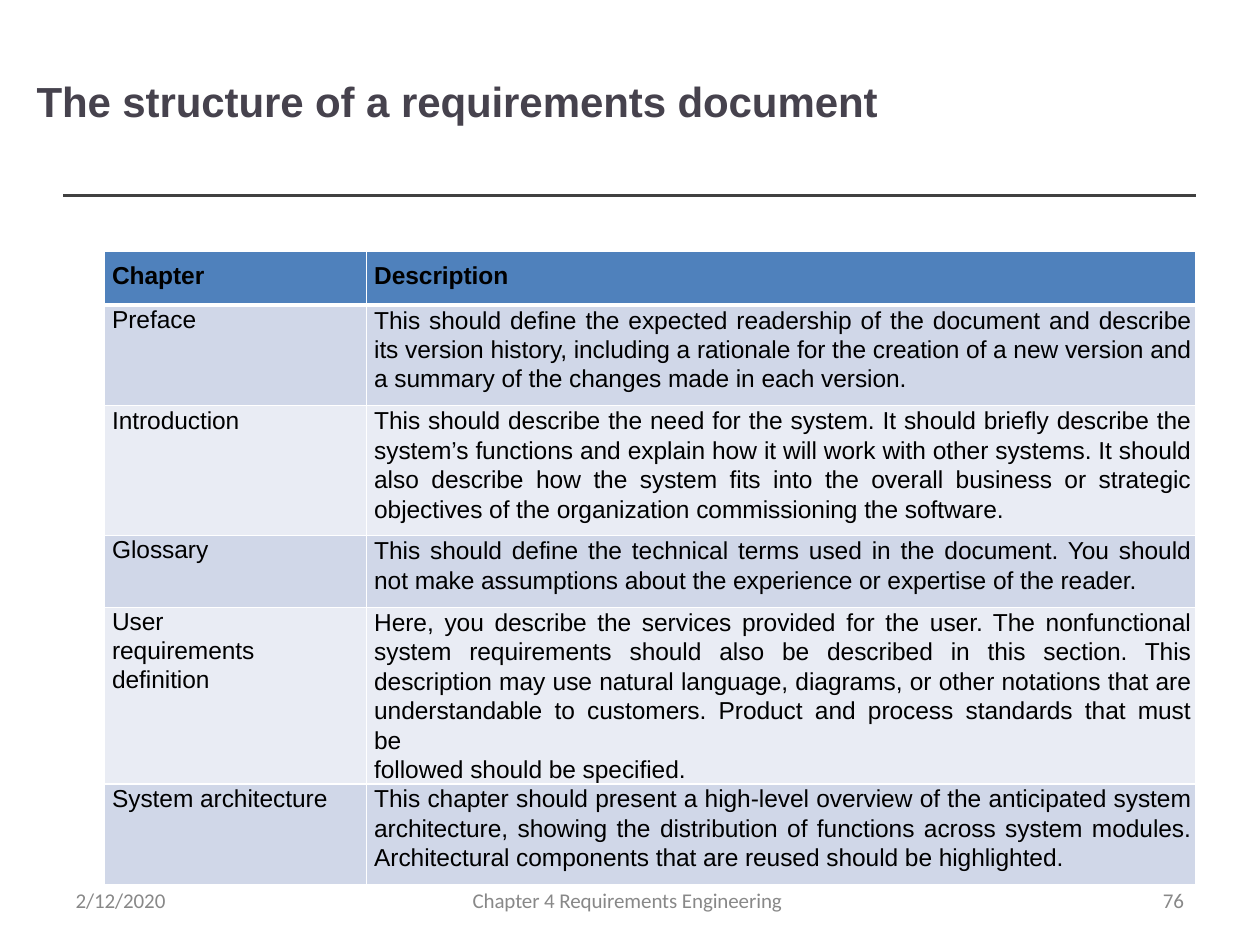
from lxml import etree
from pptx import Presentation
from pptx.dml.color import RGBColor
from pptx.enum.shapes import MSO_CONNECTOR
from pptx.enum.text import MSO_ANCHOR, PP_ALIGN
from pptx.oxml.ns import qn
from pptx.util import Inches, Pt

STRAIGHT = MSO_CONNECTOR.STRAIGHT
TOP = MSO_ANCHOR.TOP
LEFT, JUSTIFY = PP_ALIGN.LEFT, PP_ALIGN.JUSTIFY

HEADER = ("Chapter", "Description")
CHAPTERS = [
    ("Preface",
     "This should define the expected readership of the document and describe "
     "its version history, including a rationale for the creation of a new "
     "version and a summary of the changes made in each version."),
    ("Introduction",
     "This should describe the need for the system. It should briefly describe "
     "the system’s functions and explain how it will work with other systems. "
     "It should also describe how the system fits into the overall business or "
     "strategic objectives of the organization commissioning the software."),
    ("Glossary",
     "This should define the technical terms used in the document. You should\v"
     "not make assumptions about the experience or expertise of the reader."),
    ("User\vrequirements\vdefinition",
     "Here, you describe the services provided for the user. The nonfunctional "
     "system requirements should also be described in this section. This "
     "description may use natural language, diagrams, or other notations that "
     "are understandable to customers. Product and process standards that must\v"
     "be\nfollowed should be specified."),
    ("System architecture",
     "This chapter should present a high-level overview of the anticipated "
     "system architecture, showing the distribution of functions across system "
     "modules. Architectural components that are reused should be highlighted."),
]
COLUMN_WIDTHS = (2.08, 6.58)
ROW_HEIGHTS = (0.43, 0.8, 1.03, 0.57, 1.4, 0.8)


def rgb(value):
    return RGBColor.from_string(value)


class SlideBuilder:
    heading_font, footer_font = "Arial", "Calibri"
    title_color, text_color, footer_color = "46424D", "000000", "888888"
    rule_color, border_color = "404040", "FFFFFF"
    header_fill, band_fills = "4F81BC", ("D0D7E8", "E9ECF4")

    def __init__(self, slide):
        self.slide = slide

    def format(self, paragraph, font, size, color, bold=False, align=LEFT):
        paragraph.alignment = align
        paragraph.font.name = font
        paragraph.font.size = Pt(size)
        paragraph.font.bold = bold
        paragraph.font.color.rgb = rgb(color)
        # Slightly tightened letter spacing
        paragraph._p.pPr.find(qn("a:defRPr")).set("spc", "-5")

    def clear_margins(self, frame):
        frame.margin_left = frame.margin_right = 0
        frame.margin_top = frame.margin_bottom = 0

    def title(self, text, left, top, width, height):
        title = self.slide.shapes.title
        title.left, title.top = Inches(left), Inches(top)
        title.width, title.height = Inches(width), Inches(height)
        frame = title.text_frame
        self.clear_margins(frame)
        frame.vertical_anchor = TOP
        frame.text = text
        heading = frame.paragraphs[0]
        self.format(heading, self.heading_font, 24, self.title_color, True)
        heading.space_before = Pt(1)
        heading._p.pPr.set("marL", str(Inches(0.01)))

    def rule(self, left, top, right):
        rule = self.slide.shapes.add_connector(
            STRAIGHT, Inches(left), Inches(top), Inches(right), Inches(top))
        rule.line.color.rgb = rgb(self.rule_color)
        rule.line.width = Pt(2.04)
        etree.SubElement(rule._element.spPr, qn("a:effectLst"))

    def footer(self, text, left, width, indent=0.01):
        box = self.slide.shapes.add_textbox(
            Inches(left), Inches(7.07), Inches(width), Inches(0.2))
        frame = box.text_frame
        frame.word_wrap = True
        self.clear_margins(frame)
        frame.text = text
        line = frame.paragraphs[0]
        self.format(line, self.footer_font, 12, self.footer_color)
        line.line_spacing = Pt(12.4)
        line._p.pPr.set("marL", str(Inches(indent)))

    def borders(self, cell, top_width, bottom_width):
        properties = cell._tc.get_or_add_tcPr()
        widths = {"lnL": 1, "lnR": 1, "lnT": top_width, "lnB": bottom_width}
        for side, width in widths.items():
            line = etree.SubElement(properties, qn(f"a:{side}"), w=str(Pt(width)))
            fill = etree.SubElement(line, qn("a:solidFill"))
            etree.SubElement(fill, qn("a:srgbClr"), val=self.border_color)

    def cell(self, cell, text, row, column):
        is_header = row == 0
        self.borders(cell, 3 if row == 1 else 1, 3 if is_header else 1)
        cell.fill.solid()
        cell.fill.fore_color.rgb = rgb(
            self.header_fill if is_header else self.band_fills[(row - 1) % 2])
        self.clear_margins(cell)
        cell.margin_left = Inches(0.06)
        cell.margin_right = Inches(0.04 * column)
        cell.margin_top = Inches(0.09 if is_header else 0)
        cell.vertical_anchor = TOP
        cell.text = text
        align = JUSTIFY if column and not is_header else LEFT
        for paragraph in cell.text_frame.paragraphs:
            self.format(paragraph, self.heading_font, 14, self.text_color,
                        is_header, align)
            if not is_header:
                paragraph.line_spacing = Pt(16.8 if column else 16.4)

    def table(self, rows, left, top, widths, heights):
        table = self.slide.shapes.add_table(
            len(rows), len(widths), Inches(left), Inches(top),
            Inches(sum(widths)), Inches(sum(heights))).table
        table.first_row = table.horz_banding = False
        for column, width in zip(table.columns, widths):
            column.width = Inches(width)
        for r, (texts, height) in enumerate(zip(rows, heights)):
            table.rows[r].height = Inches(height)
            for c, text in enumerate(texts):
                self.cell(table.cell(r, c), text, r, c)


def main():
    deck = Presentation()
    deck.slide_width, deck.slide_height = Inches(10), Inches(7.5)
    builder = SlideBuilder(deck.slides.add_slide(deck.slide_layouts[5]))

    # Rules under the title
    for right in (8.49, 9.49):
        builder.rule(0.5, 1.55, right)

    # Title
    builder.title("The structure of a requirements document", 0.28, 0.6, 6.73, 0.43)

    # Footer: date, chapter, page number
    builder.footer("2/12/2020", 0.59, 0.84)
    builder.footer("Chapter 4 Requirements Engineering", 3.74, 2.51)
    builder.footer("76", 9.2, 0.23, indent=0.03)

    # Chapters and what each should hold
    builder.table([HEADER] + CHAPTERS, 0.83, 1.99, COLUMN_WIDTHS, ROW_HEIGHTS)

    deck.save("out.pptx")


if __name__ == "__main__":
    main()
